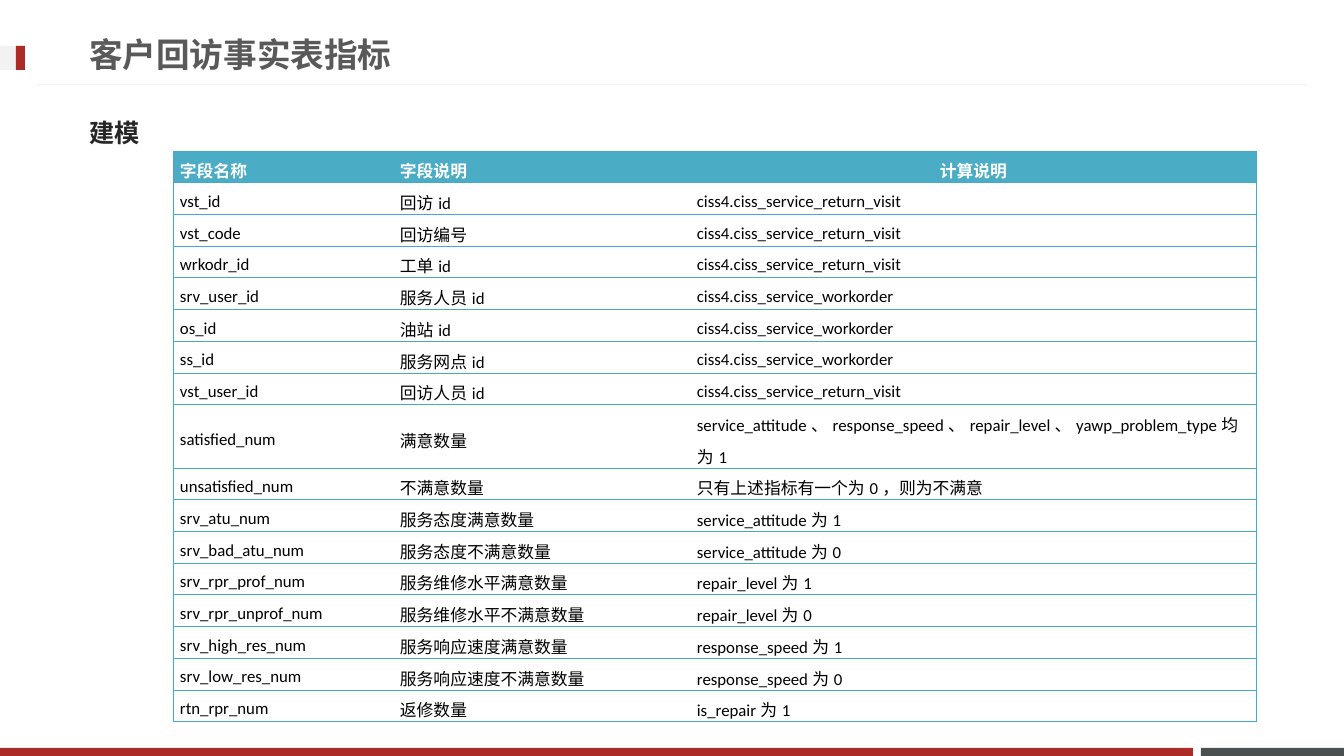
"""Build the slide that lists the fields of the customer return-visit fact table."""
from lxml import etree
from pptx import Presentation
from pptx import util as u
from pptx.dml.color import RGBColor
from pptx.enum import shapes, text
from pptx.oxml.ns import qn

HEADING = "客户回访事实表指标"
SECTION = "建模"
VISIT = "ciss4.ciss_service_return_visit"
ORDER = "ciss4.ciss_service_workorder"
FIELDS = [
    ("字段名称", "字段说明", "计算说明"),
    ("vst_id", "回访id", VISIT),
    ("vst_code", "回访编号", VISIT),
    ("wrkodr_id", "工单id", VISIT),
    ("srv_user_id", "服务人员id", ORDER),
    ("os_id", "油站id", ORDER),
    ("ss_id", "服务网点id", ORDER),
    ("vst_user_id", "回访人员id", VISIT),
    ("satisfied_num", "满意数量",
     "service_attitude、response_speed、repair_level、yawp_problem_type均为1"),
    ("unsatisfied_num", "不满意数量", "只有上述指标有一个为0，则为不满意"),
    ("srv_atu_num", "服务态度满意数量", "service_attitude为1"),
    ("srv_bad_atu_num", "服务态度不满意数量", "service_attitude为0"),
    ("srv_rpr_prof_num", "服务维修水平满意数量", "repair_level为1"),
    ("srv_rpr_unprof_num", "服务维修水平不满意数量", "repair_level为0"),
    ("srv_high_res_num", "服务响应速度满意数量", "response_speed为1"),
    ("srv_low_res_num", "服务响应速度不满意数量", "response_speed为0"),
    ("rtn_rpr_num", "返修数量", "is_repair为1"),
]

WHITE = RGBColor(0xFF, 0xFF, 0xFF)
BLACK = RGBColor(0, 0, 0)
TITLE_GREY = RGBColor(0x59, 0x59, 0x59)
SECTION_GREY = RGBColor(0x26, 0x26, 0x26)
PALE = RGBColor(0xF2, 0xF2, 0xF2)
RED = RGBColor(0xAD, 0x2B, 0x26)
SLATE = RGBColor(0x49, 0x50, 0x4F)
TEAL = RGBColor(0x4B, 0xAC, 0xC6)
BORDER = RGBColor(0x46, 0xAA, 0xC5)
CJK = "Noto Sans CJK JP"

BARS = [
    ((1201, 748, 143, 8), SLATE),
    ((0, 748, 1193, 8), RED),
    ((0, 46, 25, 24), PALE),
    ((16, 46, 9, 24), RED),
]
COLUMNS = (220, 297, 567)
TABLE_LEFT, TABLE_TOP, TABLE_HEIGHT = 173, 151, 539
EMU_PER_PX = 914400 / 100.8


def px(length):
    return u.Emu(round(length * EMU_PER_PX))


def write(frame, words, *, size, font, color, bold=False, align=text.PP_ALIGN.LEFT, spacing=None):
    frame.word_wrap = True
    line = frame.paragraphs[0]
    line.alignment = align
    line.line_spacing = spacing
    run = line.add_run()
    run.text = words
    run.font.size, run.font.name, run.font.bold = u.Pt(size), font, bold
    run.font.color.rgb = color
    etree.SubElement(run.font._element, qn("a:ea"), typeface=CJK)
    return line


def fill_placeholder(holder, box, words, **style):
    holder.left, holder.top, holder.width, holder.height = map(px, box)
    frame = holder.text_frame
    frame.auto_size = text.MSO_AUTO_SIZE.NONE
    frame.vertical_anchor = text.MSO_ANCHOR.MIDDLE
    return write(frame, words, bold=True, **style)


def set_borders(cell, visible):
    for side in "LRTB":
        edge = etree.SubElement(cell._tc.get_or_add_tcPr(), qn(f"a:ln{side}"), w=str(u.Pt(0.75)))
        if side in visible:
            solid = etree.SubElement(edge, qn("a:solidFill"))
            etree.SubElement(solid, qn("a:srgbClr"), val=str(BORDER))
        else:
            etree.SubElement(edge, qn("a:noFill"))


def add_bars(slide):
    for box, color in BARS:
        bar = slide.shapes.add_shape(shapes.MSO_SHAPE.RECTANGLE, *map(px, box))
        bar.shadow.inherit = False
        bar.fill.solid()
        bar.fill.fore_color.rgb = color
        bar.line.fill.background()
    rule = slide.shapes.add_connector(
        shapes.MSO_CONNECTOR.STRAIGHT, *map(px, (1308, 85, 36, 85)))
    rule.line.color.rgb = PALE
    rule.line.width = u.Pt(0.75)
    etree.SubElement(rule._element.spPr, qn("a:effectLst"))


def add_fields(slide):
    table = slide.shapes.add_table(
        len(FIELDS), len(COLUMNS), px(TABLE_LEFT), px(TABLE_TOP),
        px(sum(COLUMNS)), px(TABLE_HEIGHT)).table
    table.horz_banding = False
    for column, width in zip(table.columns, COLUMNS):
        column.width = px(width)
    for r, field in enumerate(FIELDS):
        header = r == 0
        table.rows[r].height = px(TABLE_HEIGHT / len(FIELDS))
        for c, words in enumerate(field):
            last = c == len(COLUMNS) - 1
            cell = table.cell(r, c)
            cell.margin_left = cell.margin_right = px(7)
            cell.margin_top = cell.margin_bottom = 0
            cell.vertical_anchor = text.MSO_ANCHOR.MIDDLE
            set_borders(cell, "TB" + "L" * (c == 0) + "R" * last)
            if header:
                cell.fill.solid()
                cell.fill.fore_color.rgb = TEAL
            else:
                cell.fill.background()
            write(cell.text_frame, words, size=12, font="Calibri", bold=header, spacing=1.3,
                  color=WHITE if header else BLACK,
                  align=text.PP_ALIGN.CENTER if header and last else text.PP_ALIGN.LEFT)


def main():
    deck = Presentation()
    deck.slide_width, deck.slide_height = px(1344), px(756)
    slide = deck.slides.add_slide(deck.slide_layouts[1])
    add_bars(slide)
    fill_placeholder(slide.shapes.title, (79, 26, 967, 57), HEADING,
                     size=24, font="Lato", color=TITLE_GREY)
    section = fill_placeholder(slide.placeholders[1], (79, 104, 1179, 57), SECTION,
                               size=18, font=CJK, color=SECTION_GREY)
    props = section._p.get_or_add_pPr()
    props.set("marL", "0")
    props.set("indent", "0")
    etree.SubElement(props, qn("a:buNone"))
    add_fields(slide)
    deck.save("out.pptx")


if __name__ == "__main__":
    main()
